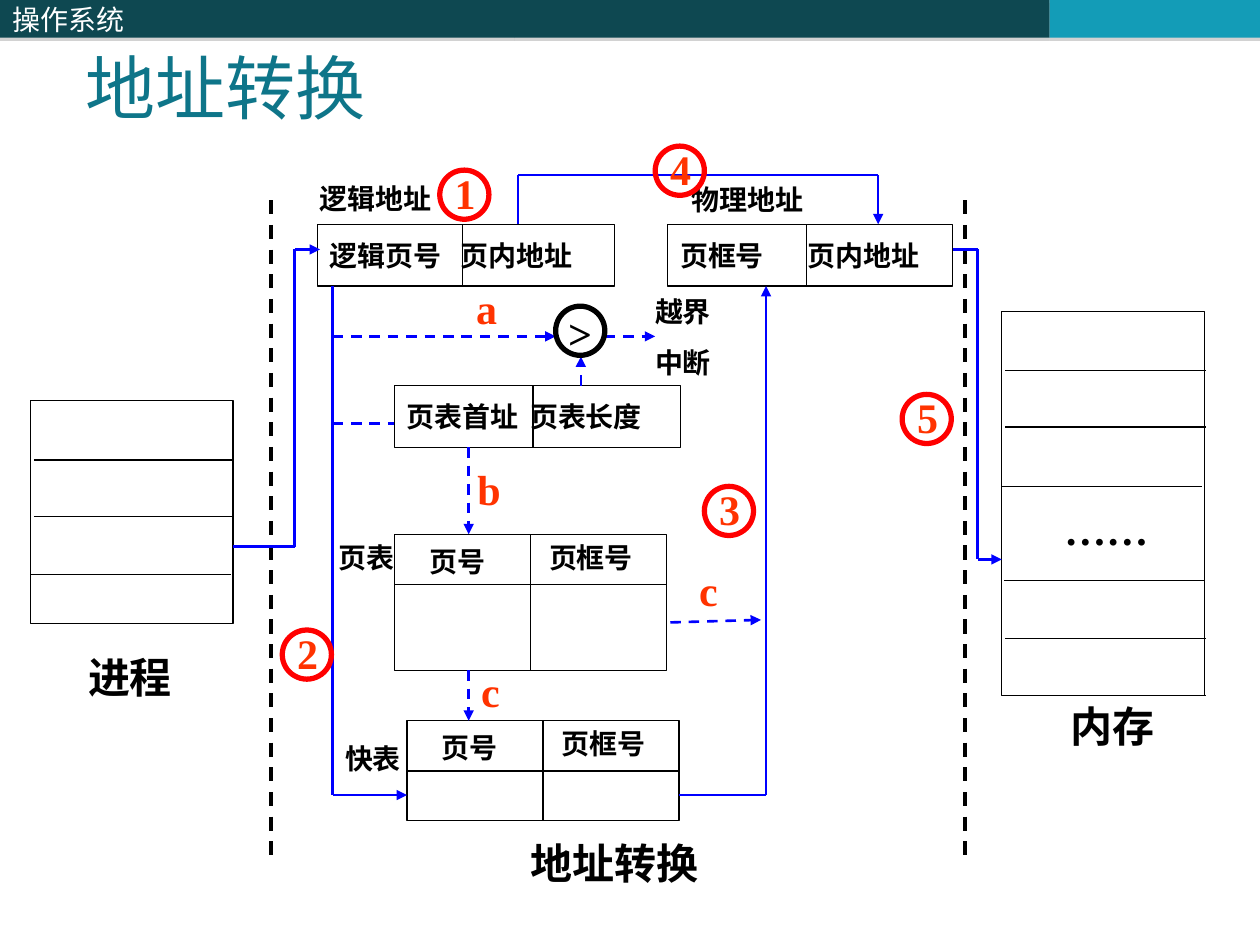
import lxml.etree
import pptx
import pptx.dml.color
import pptx.enum.dml
import pptx.enum.shapes
import pptx.enum.text
import pptx.oxml.ns
import pptx.util

COLOURS = {
    "header": "0E4851", "accent": "139CB7", "title": "0E7589",
    "black": "000000", "white": "FFFFFF", "blue": "0000FF",
    "ring": "FF0000", "mark": "FF3300", "shadow": "808080",
}
SANS = "Noto Sans CJK SC"
SERIF = "Times New Roman"
STYLES = {
    "header": {"size": 16, "name": SANS, "colour": "white"},
    "title": {"size": 40, "name": SERIF, "colour": "title"},
    "label": {"size": 16, "name": SANS, "bold": True, "colour": "black"},
    "caption": {"size": 24, "name": SERIF, "bold": True, "colour": "black"},
    "mark": {"size": 24, "name": SERIF, "bold": True, "colour": "mark"},
}
SHAPES = pptx.enum.shapes.MSO_SHAPE
ANCHORS = pptx.enum.text.MSO_ANCHOR


def inches(*values):
    return [pptx.util.Inches(value) for value in values]


def colour(name):
    return pptx.dml.color.RGBColor.from_string(COLOURS[name])


def child(parent, tag, **values):
    return lxml.etree.SubElement(parent, pptx.oxml.ns.qn(tag), **values)


class Diagram:
    def __init__(self, page):
        self.page = page

    def fill_text(self, box, lines, style, anchor=ANCHORS.TOP, tab=None):
        frame = box.text_frame
        settings = {"word_wrap": True, "vertical_anchor": anchor}
        for side, gap in (("left", 0.1), ("right", 0.1), ("top", 0.05), ("bottom", 0.05)):
            settings["margin_" + side] = pptx.util.Inches(gap)
        for key, value in settings.items():
            setattr(frame, key, value)
        for index, line in enumerate(lines):
            para = frame.add_paragraph() if index else frame.paragraphs[0]
            para.alignment = pptx.enum.text.PP_ALIGN.LEFT
            if index:
                para.space_before = pptx.util.Pt(10)
            if tab:
                stops = child(para._p.get_or_add_pPr(), "a:tabLst")
                child(stops, "a:tab", pos=str(pptx.util.Inches(tab)), algn="l")
            span = para.add_run()
            span.text = line
            for key, value in STYLES[style].items():
                if key == "colour":
                    span.font.color.rgb = colour(value)
                else:
                    setattr(span.font, key, pptx.util.Pt(value) if key == "size" else value)
            child(span._r.get_or_add_rPr(), "a:ea", typeface=SANS)

    def title(self, text, *place):
        box = self.page.shapes.title
        for key, value in zip(("left", "top", "width", "height"), inches(*place)):
            setattr(box, key, value)
        self.fill_text(box, [text], "title", ANCHORS.BOTTOM)
        box.text_frame.auto_size = pptx.enum.text.MSO_AUTO_SIZE.NONE

    def text(self, x, y, width, height, style, *lines):
        box = self.page.shapes.add_textbox(*inches(x, y, width, height))
        self.fill_text(box, lines, style)
        box.text_frame.auto_size = pptx.enum.text.MSO_AUTO_SIZE.SHAPE_TO_FIT_TEXT

    def shape(self, x, y, width, height, kind=SHAPES.RECTANGLE, fill="white", line="black", weight=0.75):
        box = self.page.shapes.add_shape(kind, *inches(x, y, width, height))
        box.shadow.inherit = False
        if fill:
            box.fill.solid()
            box.fill.fore_color.rgb = colour(fill)
        else:
            box.fill.background()
        if line:
            box.line.color.rgb = colour(line)
            box.line.width = pptx.util.Pt(weight)
        else:
            box.line.fill.background()
        return box

    def header(self, x, width, fill, text=None):
        box = self.shape(x, 0, width, 0.3, fill=fill, line=None)
        effects = box._element.spPr.find(pptx.oxml.ns.qn("a:effectLst"))
        shadow = child(effects, "a:outerShdw", dist=str(pptx.util.Pt(1.8)), dir="5400000")
        tint = child(shadow, "a:srgbClr", val=COLOURS["shadow"])
        child(tint, "a:alpha", val="35000")
        if text:
            self.fill_text(box, [text], "header", ANCHORS.MIDDLE)

    def route(self, *points, line="blue", weight=1.5, dashed=False, arrow=False):
        for start, end in zip(points, points[1:]):
            link = self.page.shapes.add_connector(
                pptx.enum.shapes.MSO_CONNECTOR.STRAIGHT, *inches(*start, *end))
            link.line.color.rgb = colour(line)
            link.line.width = pptx.util.Pt(weight)
            if dashed:
                link.line.dash_style = pptx.enum.dml.MSO_LINE.DASH
            if arrow and end == points[-1]:
                child(link.line._get_or_add_ln(), "a:tailEnd", type="triangle")
            child(link._element.spPr, "a:effectLst")

    def rule(self, start, end):
        self.route(start, end, line="black", weight=0.75)

    def register(self, x, y, width, divider, first, second, tab):
        box = self.shape(x, y, width, 0.49)
        self.fill_text(box, [first + "\t" + second], "label", ANCHORS.MIDDLE, tab)
        self.rule((divider, y), (divider, y + 0.49))

    def page_table(self, x, y, height, name, name_x, name_y):
        self.shape(x, y, 2.16, height)
        self.rule((x, y + 0.4), (x + 2.16, y + 0.4))
        self.rule((x + 1.08, y), (x + 1.08, y + height))
        self.text(x + 0.18, y + 0.03, 0.9, 0.37, "label", "页号")
        self.text(x + 1.13, y, 1.03, 0.37, "label", "页框号")
        self.text(name_x, name_y, 0.69, 0.37, "label", name)

    def memory(self, x, y, height, rows, name, name_x, name_y):
        self.shape(x, y, 1.61, height)
        for offset, row in rows:
            self.rule((x + offset, row), (x + offset + 1.59, row))
        self.text(name_x, name_y, 0.89, 0.5, "caption", name)

    def circle(self, x, y, text, ring="ring", style="mark", shift=(0.02, -0.07)):
        self.shape(x, y, 0.39, 0.39, SHAPES.OVAL, None, ring, 3)
        self.text(x + shift[0], y + shift[1], 0.51, 0.5, style, text)


def main():
    deck = pptx.Presentation()
    deck.slide_width, deck.slide_height = inches(10, 7.5)
    page = deck.slides.add_slide(deck.slide_layouts[5])
    diagram = Diagram(page)

    diagram.header(0, 4.08, "header", "操作系统")
    diagram.header(4.08, 4.25, "header")
    diagram.header(8.33, 1.67, "accent")
    diagram.title("地址转换", 0.58, 0.45, 9, 0.62)

    for x in (2.15, 7.66):
        diagram.route((x, 1.59), (x, 6.8), line="black", weight=2, dashed=True)
    diagram.memory(0.24, 3.18, 1.77, [(0.03, 3.65), (0.03, 4.1), (0, 4.56)], "进程", 0.6, 5.12)
    memory_rows = [(0.03, 2.94), (0.03, 3.39), (0, 3.86), (0.02, 4.61), (0.03, 5.07), (0.03, 5.52)]
    diagram.memory(7.95, 2.47, 3.05, memory_rows, "内存", 8.4, 5.51)
    diagram.text(8.35, 3.95, 0.97, 0.5, "caption", "……")

    diagram.register(2.52, 1.78, 2.36, 3.67, "逻辑页号", "页内地址", 1.04)
    diagram.register(5.3, 1.78, 2.26, 6.4, "页框号", "页内地址", 1.01)
    diagram.register(3.13, 3.06, 2.27, 4.23, "页表首址", "页表长度", 0.98)
    diagram.page_table(3.13, 4.24, 1.08, "页表", 2.59, 4.24)
    diagram.page_table(3.23, 5.72, 0.79, "快表", 2.64, 5.84)

    diagram.text(2.44, 1.39, 1.1, 0.37, "label", "逻辑地址")
    diagram.text(5.39, 1.4, 1.29, 0.37, "label", "物理地址")
    diagram.text(5.1, 2.29, 0.71, 0.77, "label", "越界", "中断")
    diagram.text(4.11, 6.6, 1.97, 0.5, "caption", "地址转换")

    for points in (
        [(1.85, 4.34), (2.34, 4.34), (2.34, 1.98), (2.54, 1.98)],
        [(2.64, 2.27), (2.64, 6.31), (3.23, 6.31)],
        [(5.39, 6.31), (6.08, 6.31), (6.08, 2.27)],
        [(4.11, 1.78), (4.11, 1.39), (6.97, 1.39), (6.97, 1.78)],
        [(7.56, 1.98), (7.76, 1.98), (7.76, 4.44), (7.95, 4.44)],
    ):
        diagram.route(*points, arrow=True)
    for start, end in (
        [(2.64, 2.67), (4.41, 2.67)],
        [(4.61, 3.06), (4.61, 2.83)],
        [(4.8, 2.67), (5.2, 2.67)],
        [(3.72, 3.55), (3.72, 4.24)],
        [(3.72, 5.32), (3.72, 5.72)],
        [(5.32, 4.94), (6.04, 4.92)],
    ):
        diagram.route(start, end, dashed=True, arrow=True)
    diagram.route((2.64, 3.36), (3.13, 3.36), dashed=True)

    steps = [(3.49, 1.35), (2.24, 5), (5.59, 3.86), (5.2, 1.16), (7.16, 3.13)]
    for number, (x, y) in enumerate(steps, 1):
        diagram.circle(x, y, str(number))
    diagram.circle(4.41, 2.43, ">", "black", "caption", (0, -0.04))
    for letter, x, y in (("a", 3.68, 2.19), ("b", 3.69, 3.63), ("c", 3.72, 5.23), ("c", 5.45, 4.43)):
        diagram.text(x, y, 0.51, 0.5, "mark", letter)

    deck.save("out.pptx")


if __name__ == "__main__":
    main()
